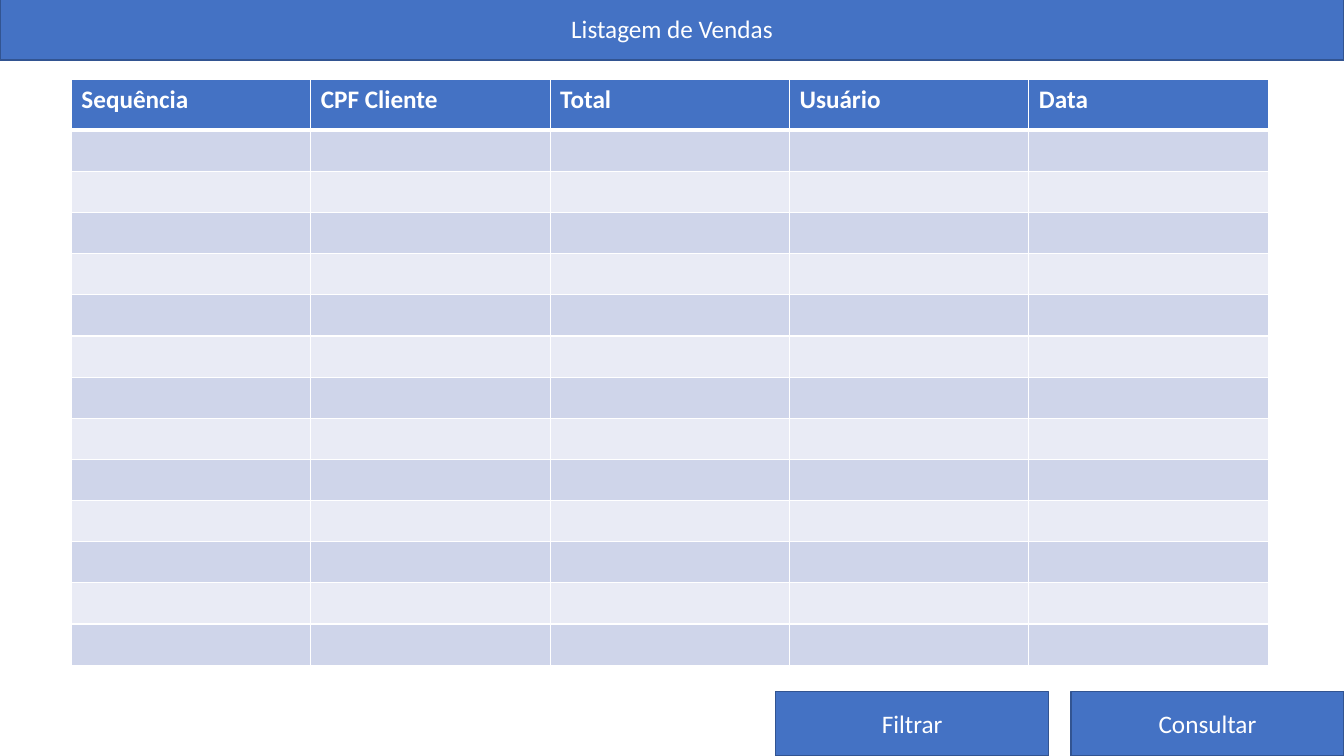
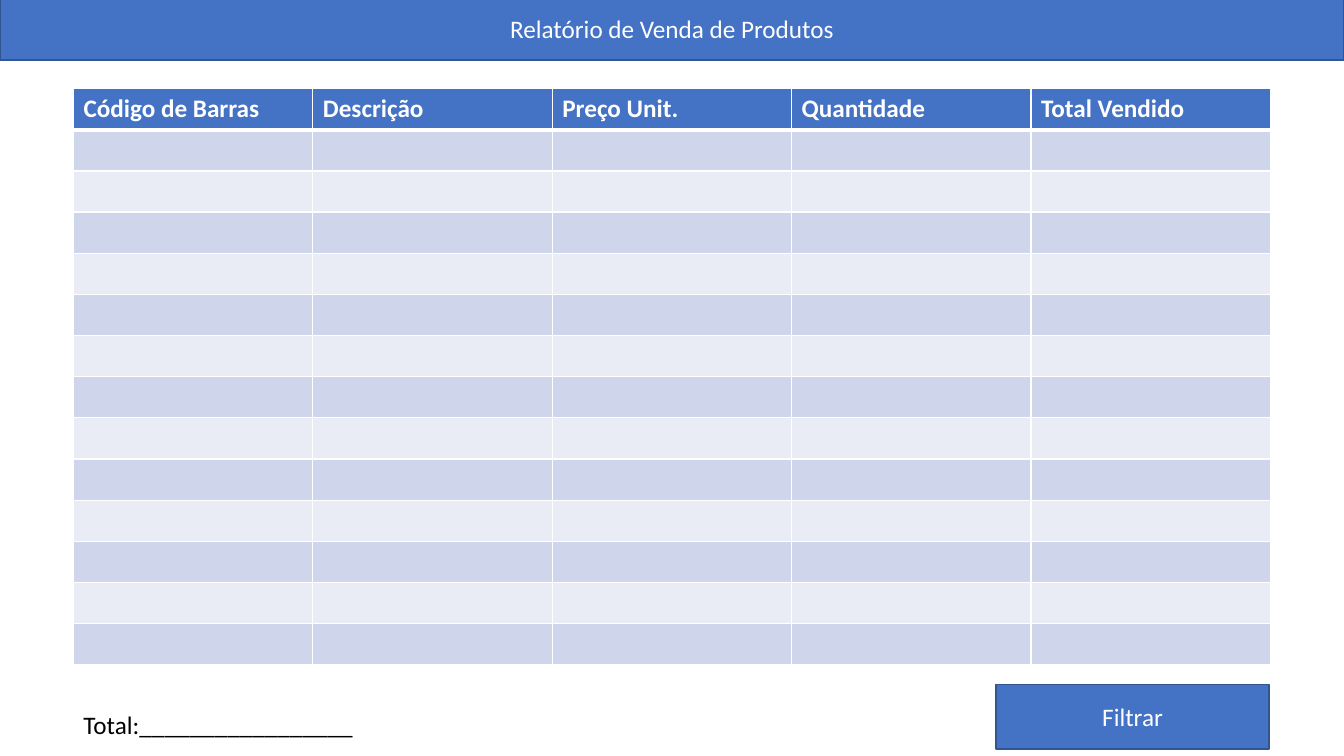
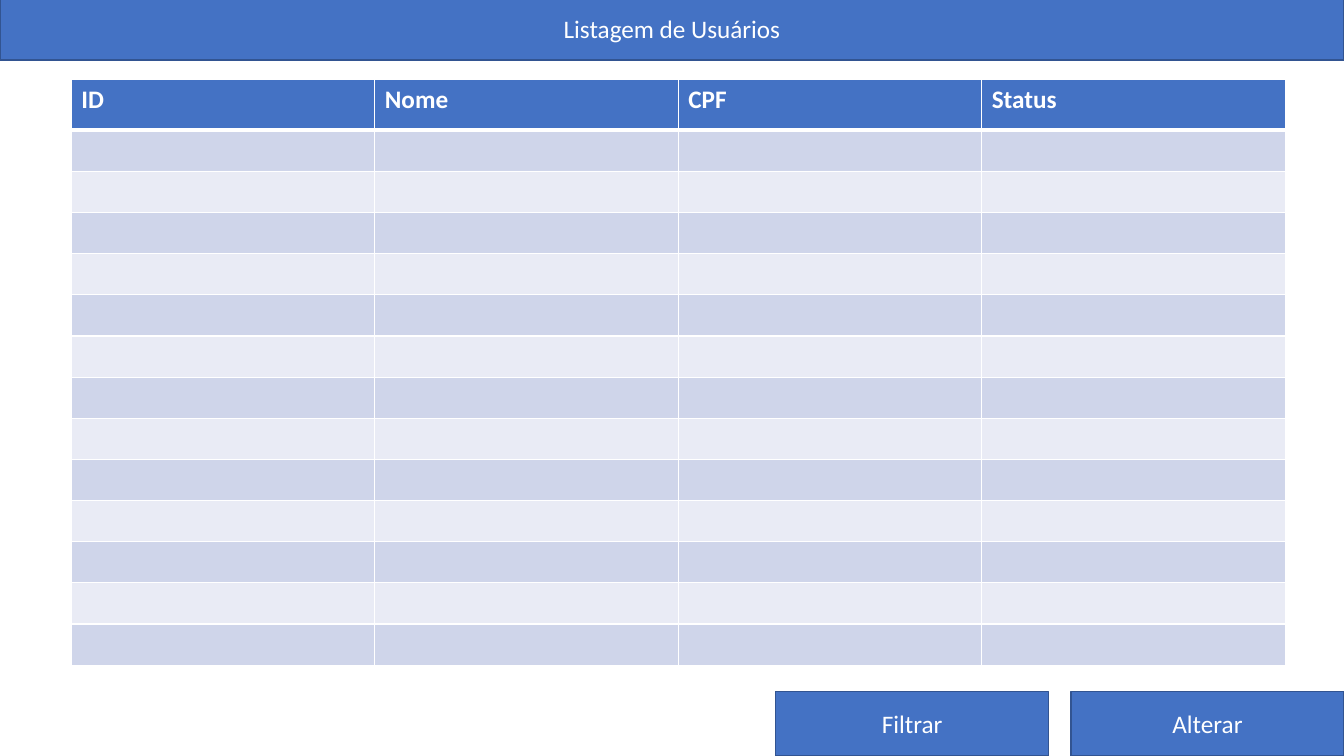
from lxml import etree
from pptx import Presentation
from pptx.dml.color import RGBColor
from pptx.enum.shapes import MSO_SHAPE
from pptx.enum.text import MSO_ANCHOR, MSO_AUTO_SIZE, PP_ALIGN
from pptx.oxml.ns import qn
from pptx.util import Pt

RECTANGLE = MSO_SHAPE.RECTANGLE
MIDDLE = MSO_ANCHOR.MIDDLE
CENTER = PP_ALIGN.CENTER
NO_FIT = MSO_AUTO_SIZE.NONE
GROW = MSO_AUTO_SIZE.SHAPE_TO_FIT_TEXT

BLUE = RGBColor(0x44, 0x72, 0xC4)
DARK_BLUE = RGBColor(0x32, 0x54, 0x91)
BAND_DARK = RGBColor(0xCF, 0xD5, 0xEA)
BAND_LIGHT = RGBColor(0xE9, 0xEB, 0xF5)
WHITE = RGBColor(0xFF, 0xFF, 0xFF)
BLACK = RGBColor(0x00, 0x00, 0x00)

PLAIN = {"name": "Calibri", "size": Pt(18), "bold": False}
BOLD = {**PLAIN, "bold": True}

SLIDE_WIDTH, SLIDE_HEIGHT = 960, 540
TITLE_BOX = (0, -3, SLIDE_WIDTH, 46)
BUTTON_WIDTH, BUTTON_HEIGHT, BUTTON_GAP = 195, 46, 16
BODY_ROWS, BODY_ROW_HEIGHT = 13, 29.4

SCREENS = [
    {
        "title": "Listagem de Vendas",
        "headers": ["Sequência", "CPF Cliente", "Total", "Usuário", "Data"],
        "table_box": (51, 57, 855),
        "header_height": 36,
        "buttons": ["Filtrar", "Consultar"],
        "buttons_corner": (SLIDE_WIDTH, SLIDE_HEIGHT),
    },
    {
        "title": "Relatório de Venda de Produtos",
        "headers": ["Código de Barras", "Descrição", "Preço Unit.", "Quantidade",
                    "Total Vendido"],
        "table_box": (52.5, 63.5, 855),
        "header_height": 28,
        "buttons": ["Filtrar"],
        "buttons_corner": (906.5, 535),
        "total": "Total:_________________",
        "total_box": (52.5, 503, 511, 29),
    },
    {
        "title": "Listagem de Usuários",
        "headers": ["ID", "Nome", "CPF", "Status"],
        "table_box": (51, 57, 867),
        "header_height": 36,
        "buttons": ["Filtrar", "Alterar"],
        "buttons_corner": (SLIDE_WIDTH, SLIDE_HEIGHT),
    },
]


def points(*lengths):
    return [Pt(length) for length in lengths]


def write(frame, text, style, color):
    para = frame.paragraphs[0]
    span = para.add_run()
    span.text = text
    for name, value in style.items():
        setattr(span.font, name, value)
    span.font.color.rgb = color
    return para


def format_bar(shape, text):
    """Give a title or button its blue box and centred white text."""
    shape.fill.solid()
    shape.fill.fore_color.rgb = BLUE
    shape.line.color.rgb = DARK_BLUE
    shape.line.width = Pt(1)
    frame = shape.text_frame
    for name, value in {"word_wrap": True, "auto_size": NO_FIT,
                        "vertical_anchor": MIDDLE}.items():
        setattr(frame, name, value)
    para = write(frame, text, PLAIN, WHITE)
    para.alignment = CENTER
    para.line_spacing = 1.0


def add_title(page, text):
    title = page.shapes.title
    title.left, title.top, title.width, title.height = points(*TITLE_BOX)
    format_bar(title, text)


def add_buttons(page, labels, corner):
    """Line up buttons so that the last ends at the bottom right corner."""
    right, bottom = corner
    pitch = BUTTON_WIDTH + BUTTON_GAP
    left = right - len(labels) * pitch + BUTTON_GAP
    for index, label in enumerate(labels):
        button = page.shapes.add_shape(RECTANGLE, *points(
            left + index * pitch, bottom - BUTTON_HEIGHT, BUTTON_WIDTH, BUTTON_HEIGHT))
        button.shadow.inherit = False
        format_bar(button, label)


def set_borders(cell, widths):
    """Draw white borders; widths maps each side (L, R, T, B) to points."""
    properties = cell._tc.get_or_add_tcPr()
    for index, (side, width) in enumerate(widths.items()):
        line = etree.Element(qn(f"a:ln{side}"), w=str(Pt(width)))
        fill = etree.SubElement(line, qn("a:solidFill"))
        etree.SubElement(fill, qn("a:srgbClr"), val=str(WHITE))
        properties.insert(index, line)


def add_listing(page, headers, box, header_height):
    """Add a table with a header row and empty banded rows."""
    left, top, width = box
    height = header_height + BODY_ROWS * BODY_ROW_HEIGHT
    table = page.shapes.add_table(
        BODY_ROWS + 1, len(headers), *points(left, top, width, height)).table
    for column in table.columns:
        column.width = Pt(width / len(headers))
    for index, row in enumerate(table.rows):
        row.height = Pt(BODY_ROW_HEIGHT if index else header_height)
        band = BAND_DARK if index % 2 else BAND_LIGHT
        widths = {"L": 1, "R": 1, "T": 3 if index == 1 else 1, "B": 1 if index else 3}
        for cell in row.cells:
            cell.fill.solid()
            cell.fill.fore_color.rgb = band if index else BLUE
            set_borders(cell, widths)
    for cell, header in zip(table.rows[0].cells, headers):
        write(cell.text_frame, header, BOLD, WHITE)


def add_total(page, text, box):
    frame = page.shapes.add_textbox(*points(*box)).text_frame
    frame.word_wrap = True
    frame.auto_size = GROW
    write(frame, text, PLAIN, BLACK)


def add_screen(deck, screen):
    page = deck.slides.add_slide(deck.slide_layouts.get_by_name("Title Only"))
    add_title(page, screen["title"])
    add_listing(page, screen["headers"], screen["table_box"], screen["header_height"])
    if "total" in screen:
        add_total(page, screen["total"], screen["total_box"])
    add_buttons(page, screen["buttons"], screen["buttons_corner"])


def main():
    deck = Presentation()
    deck.slide_width, deck.slide_height = points(SLIDE_WIDTH, SLIDE_HEIGHT)
    for screen in SCREENS:
        add_screen(deck, screen)
    deck.save("out.pptx")


if __name__ == "__main__":
    main()
